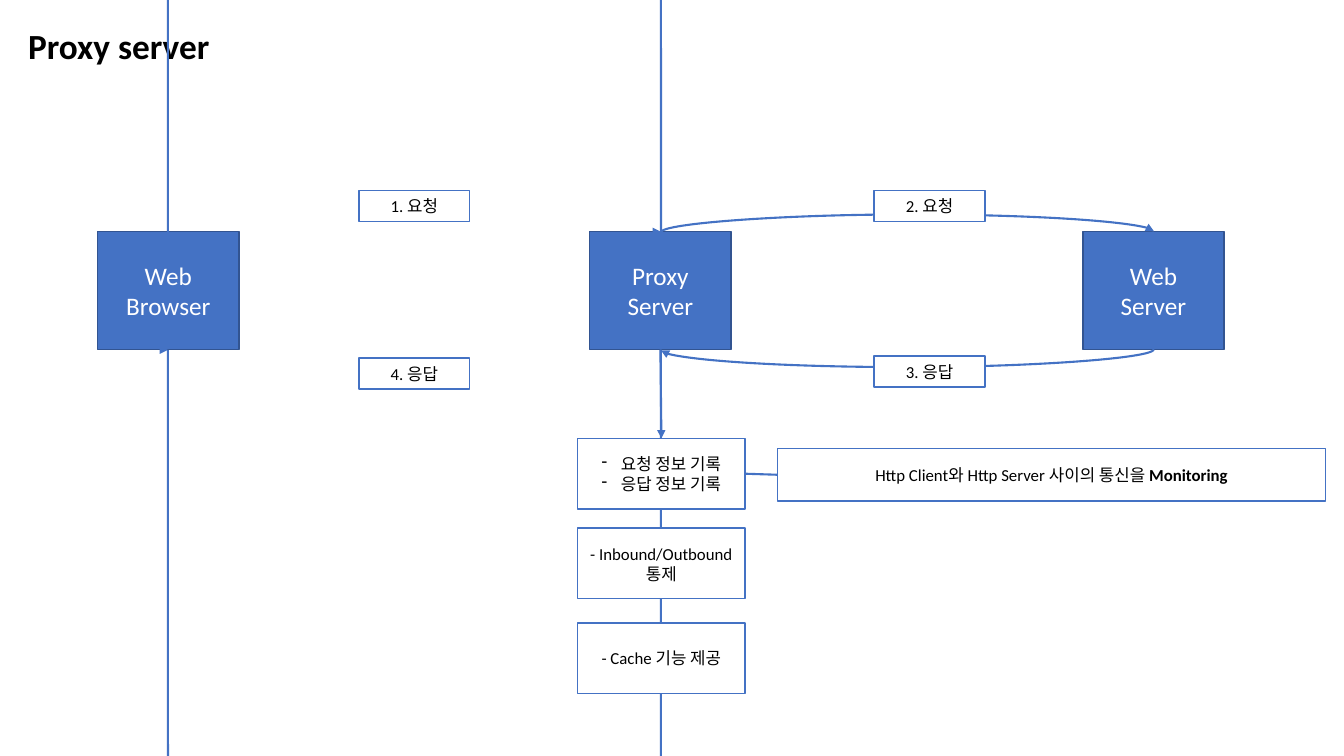
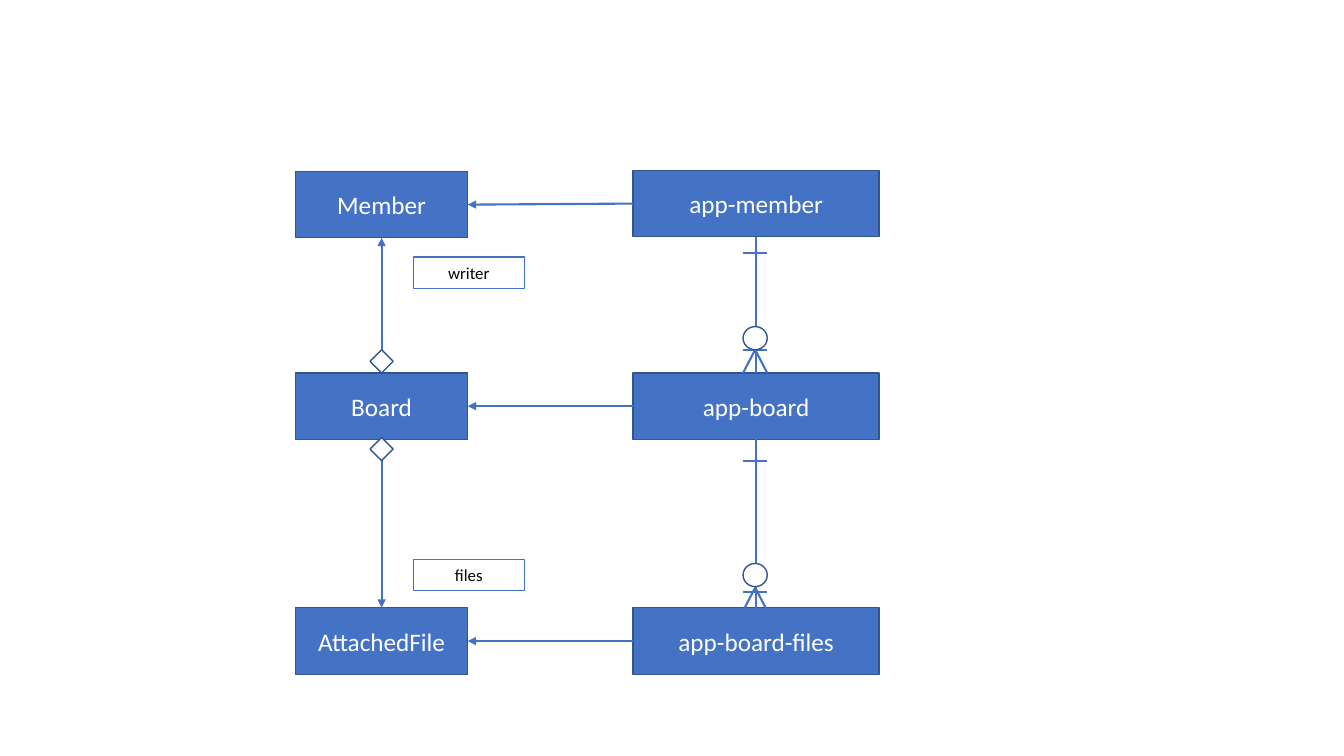
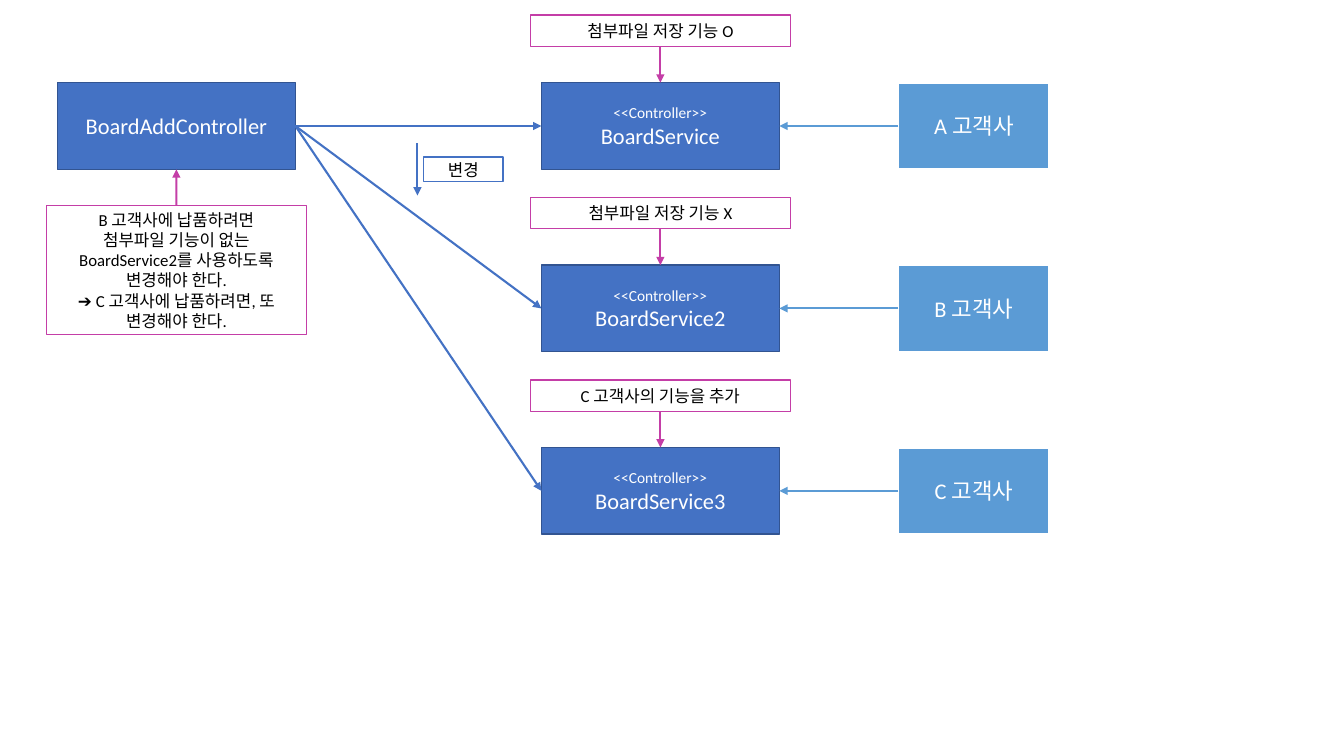
from lxml import etree
from pptx import Presentation
from pptx.dml.color import RGBColor
from pptx.enum.shapes import MSO_CONNECTOR, MSO_SHAPE
from pptx.enum.text import MSO_ANCHOR, PP_ALIGN
from pptx.oxml.ns import qn
from pptx.util import Emu, Inches, Pt

BLUE = RGBColor(0x44, 0x72, 0xC4)
NAVY = RGBColor(0x32, 0x54, 0x91)
SKY = RGBColor(0x5B, 0x9B, 0xD5)
PINK = RGBColor(0xC4, 0x3E, 0xA7)
WHITE = RGBColor(0xFF, 0xFF, 0xFF)
BLACK = RGBColor(0, 0, 0)
FONT = "Calibri"
RECT, DIAMOND, OVAL = MSO_SHAPE.RECTANGLE, MSO_SHAPE.DIAMOND, MSO_SHAPE.OVAL
STRAIGHT, CURVE = MSO_CONNECTOR.STRAIGHT, MSO_CONNECTOR.CURVE
CENTER, MIDDLE = PP_ALIGN.CENTER, MSO_ANCHOR.MIDDLE
TOP, LEFT, BOTTOM, RIGHT = range(4)

SOLID = (BLUE, NAVY, 1, WHITE)
OUTLINE = (WHITE, BLUE, 1, BLACK)
NOTE = (WHITE, PINK, 1, BLACK)
CUSTOMER = (SKY, WHITE, 1.5, WHITE)
SYMBOL = (WHITE, NAVY, 1, BLACK)

SERVERS = [(0.97, ["Web", "Browser"]), (5.85, ["Proxy", "Server"]),
           (10.74, ["Web", "Server"])]
CURVES = [
    (4.11, 2.3, Emu(1), 22860100000, True),
    (9, 2.3, Inches(0.01), 1800000, True),
    (9, 3.47, Inches(0.01), 1800000, False),
    (4.11, 3.47, Emu(1), 22860100000, False),
]
STEPS = [(3.56, 1.89, "1. 요청"), (8.67, 1.89, "2. 요청"),
         (8.67, 3.53, "3. 응답"), (3.56, 3.55, "4. 응답")]
FEATURES = [
    (4.35, ["요청 정보 기록", "응답 정보 기록"]),
    (5.24, ["- Inbound/Outbound", "통제"]),
    (6.18, ["- Cache 기능 제공"]),
]
MONITORING = ("Http Client와 Http Server 사이의 통신을 ", "Monitoring")

ENTITIES = [("Member", 1.7, "app-member", 1.69),
            ("Board", 3.7, "app-board", 3.7),
            ("AttachedFile", 6.03, "app-board-files", 6.03)]
ROLES = [("writer", 2.55), ("files", 5.55)]
RELATIONS = [(2.51, 3.24, 3.47, 3.47), (4.57, 5.59, 5.87, 5.83)]
DIAMOND_TOPS = [3.47, 4.34]

SERVICES = [("BoardService", "첨부파일 저장 기능 O", "A 고객사"),
            ("BoardService2", "첨부파일 저장 기능 X", "B 고객사"),
            ("BoardService3", "C 고객사의 기능을 추가", "C 고객사")]
SERVICE_PITCH = 1.81
CHANGE_NOTE = ["B 고객사에 납품하려면",
               "첨부파일 기능이 없는 BoardService2를 사용하도록 변경해야 한다.",
               "➔ C 고객사에 납품하려면, 또 변경해야 한다."]


def style_run(r, size, color, bold=False):
    r.font.name, r.font.size, r.font.bold = FONT, Pt(size), bold
    r.font.color.rgb = color


def box(s, at, lines, style, sizes, shape=RECT):
    fill, edge, weight, ink = style
    sp = s.shapes.add_shape(shape, *map(Inches, at))
    sp.shadow.inherit = False
    sp.fill.solid()
    sp.fill.fore_color.rgb = fill
    sp.line.color.rgb = edge
    sp.line.width = Pt(weight)
    tf = sp.text_frame
    tf.word_wrap, tf.vertical_anchor = True, MIDDLE
    if lines:
        tf.text = "\n".join(lines)
        for p, size in zip(tf.paragraphs, sizes * len(lines)):
            p.alignment = CENTER
            style_run(p.runs[0], size, ink)
    return sp


def add_dashes(sp):
    for p in sp.text_frame.paragraphs:
        pPr = p._p.get_or_add_pPr()
        pPr.set("marL", str(Inches(0.19)))
        pPr.set("indent", str(-Inches(0.19)))
        etree.SubElement(pPr, qn("a:buFontTx"))
        etree.SubElement(pPr, qn("a:buChar")).set("char", "-")


def style_line(c, color, arrow):
    c.line.color.rgb = color
    c.line.width = Pt(1.5)
    spPr = c._element.spPr
    if arrow:
        etree.SubElement(spPr.find(qn("a:ln")), qn("a:tailEnd")).set("type", "triangle")
    etree.SubElement(spPr, qn("a:effectLst"))


def line(s, x1, y1, x2, y2, color=BLUE, arrow=False):
    c = s.shapes.add_connector(STRAIGHT, *map(Inches, (x1, y1, x2, y2)))
    style_line(c, color, arrow)
    return c


def link(s, start, start_side, end, end_side, color=BLUE, arrow=True):
    c = line(s, 0, 0, 1, 1, color, arrow)
    c.begin_connect(start, start_side)
    c.end_connect(end, end_side)


def curve(s, center_x, center_y, depth, bend, above):
    span = Inches(4.89)
    x = Inches(center_x) - depth // 2
    y = Inches(center_y) - span // 2
    c = s.shapes.add_connector(CURVE, x, y, x + depth, y + span)
    spPr = c._element.spPr
    xfrm = spPr.find(qn("a:xfrm"))
    xfrm.set("rot", "5400000")
    if above:
        xfrm.set("flipH", "1")
        xfrm.set("flipV", "1")
    geom = spPr.find(qn("a:prstGeom"))
    av = geom.find(qn("a:avLst"))
    if av is None:
        av = etree.SubElement(geom, qn("a:avLst"))
    gd = etree.SubElement(av, qn("a:gd"))
    gd.set("name", "adj1")
    gd.set("fmla", f"val {bend}")
    style_line(c, BLUE, True)


def title(s, text):
    tf = s.shapes.add_textbox(*map(Inches, (0.18, 0.22, 4.12, 0.51))).text_frame
    tf.word_wrap, tf.vertical_anchor = True, MIDDLE
    tf.text = text
    p = tf.paragraphs[0]
    p.line_spacing = 0.9
    style_run(p.runs[0], 25.2, BLACK, True)


def proxy_slide(s):
    servers = [box(s, (x, 2.3, 1.4, 1.17), names, SOLID, [18]) for x, names in SERVERS]
    title(s, "Proxy server")
    for args in CURVES:
        curve(s, *args)
    for x, y, text in STEPS:
        box(s, (x, y, 1.1, 0.31), [text], OUTLINE, [12])
    features = [box(s, (5.73, y, 1.66, 0.7), lines, OUTLINE, [12]) for y, lines in FEATURES]
    add_dashes(features[0])
    text, strong = MONITORING
    monitor = box(s, (7.71, 4.45, 5.44, 0.52), [text], OUTLINE, [12])
    r = monitor.text_frame.paragraphs[0].add_run()
    r.text = strong
    style_run(r, 12, BLACK, True)
    link(s, servers[1], BOTTOM, features[0], TOP)
    link(s, features[0], RIGHT, monitor, LEFT, arrow=False)


def entity_slide(s):
    classes, tables = [], []
    for name, y, table, table_y in ENTITIES:
        classes.append(box(s, (2.93, y, 1.71, 0.66), [name], SOLID, [18]))
        tables.append(box(s, (6.28, table_y, 2.44, 0.66), [table], SOLID, [18]))
        link(s, tables[-1], LEFT, classes[-1], RIGHT)
    member, board, attached = classes
    link(s, board, TOP, member, BOTTOM)
    link(s, board, BOTTOM, attached, TOP)
    for y in DIAMOND_TOPS:
        box(s, (3.67, y, 0.23, 0.23), [], SYMBOL, [], DIAMOND)
    for text, y in ROLES:
        box(s, (4.1, y, 1.1, 0.31), [text], OUTLINE, [12])
    x, half = 7.49, 0.12
    for parent, child, marks in zip(tables, tables[1:], RELATIONS):
        one_y, circle_y, many_y, foot_y = marks
        link(s, parent, BOTTOM, child, TOP, arrow=False)
        for y in (one_y, many_y):
            line(s, x - half, y, x + half, y)
        for side in (-half, half):
            line(s, x, foot_y, x + side, foot_y + 0.23)
        box(s, (x - half, circle_y, 2 * half, 0.23), [], SYMBOL, [], OVAL)


def service_slide(s):
    controller = box(s, (0.57, 0.82, 2.36, 0.86), ["BoardAddController"], SOLID, [16])
    for i, (name, note_text, customer_name) in enumerate(SERVICES):
        y = 0.82 + i * SERVICE_PITCH
        service = box(s, (5.37, y, 2.36, 0.86), ["<<Controller>>", name], SOLID, [11, 16])
        note = box(s, (5.26, y - 0.67, 2.58, 0.31), [note_text], NOTE, [12])
        customer = box(s, (8.91, y, 1.5, 0.86), [customer_name], CUSTOMER, [16])
        link(s, controller, RIGHT, service, LEFT)
        link(s, note, BOTTOM, service, TOP, PINK)
        link(s, customer, LEFT, service, RIGHT, SKY)
    line(s, 4.14, 1.42, 4.14, 1.94, arrow=True)
    box(s, (4.2, 1.56, 0.79, 0.24), ["변경"], OUTLINE, [12])
    change = box(s, (0.46, 2.04, 2.58, 1.28), CHANGE_NOTE, NOTE, [12])
    link(s, change, TOP, controller, BOTTOM, PINK)


def main():
    prs = Presentation()
    prs.slide_width, prs.slide_height = Inches(13.33), Inches(7.5)
    for build in (proxy_slide, entity_slide, service_slide):
        build(prs.slides.add_slide(prs.slide_layouts[6]))
    prs.save("out.pptx")


if __name__ == "__main__":
    main()
